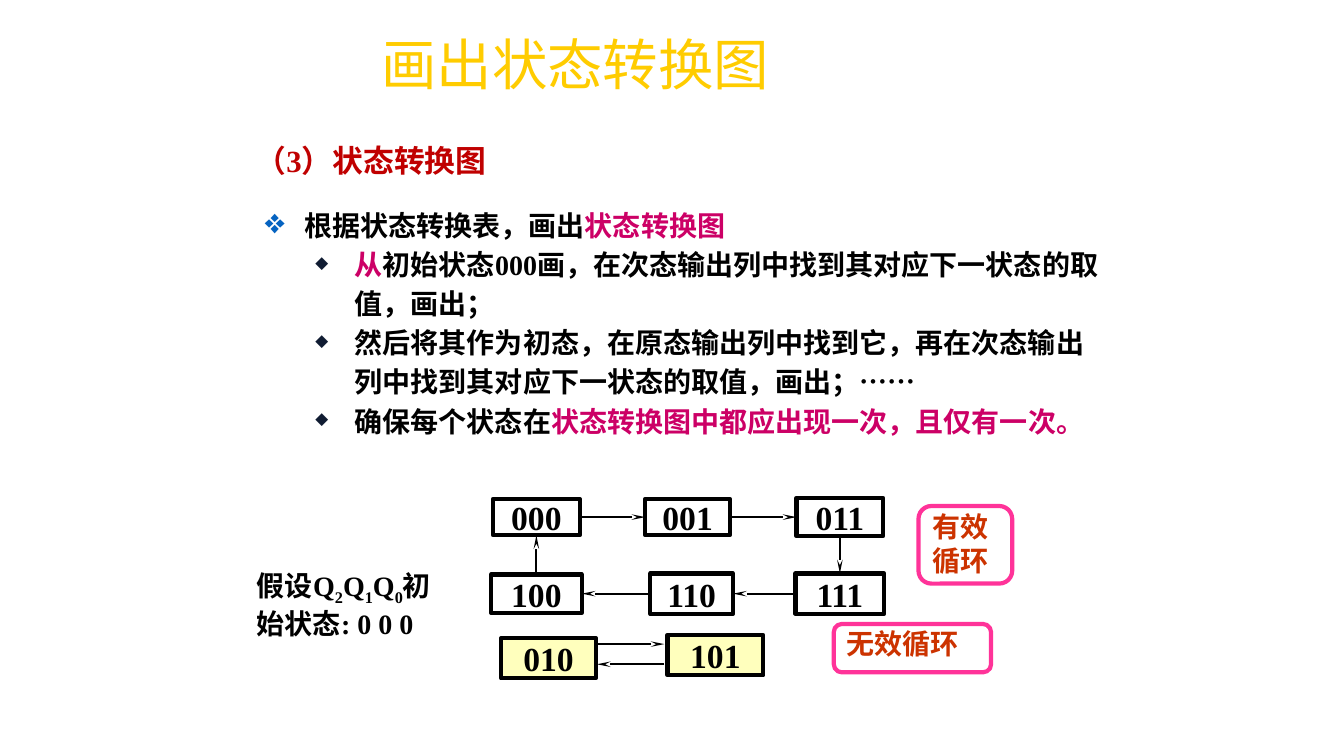
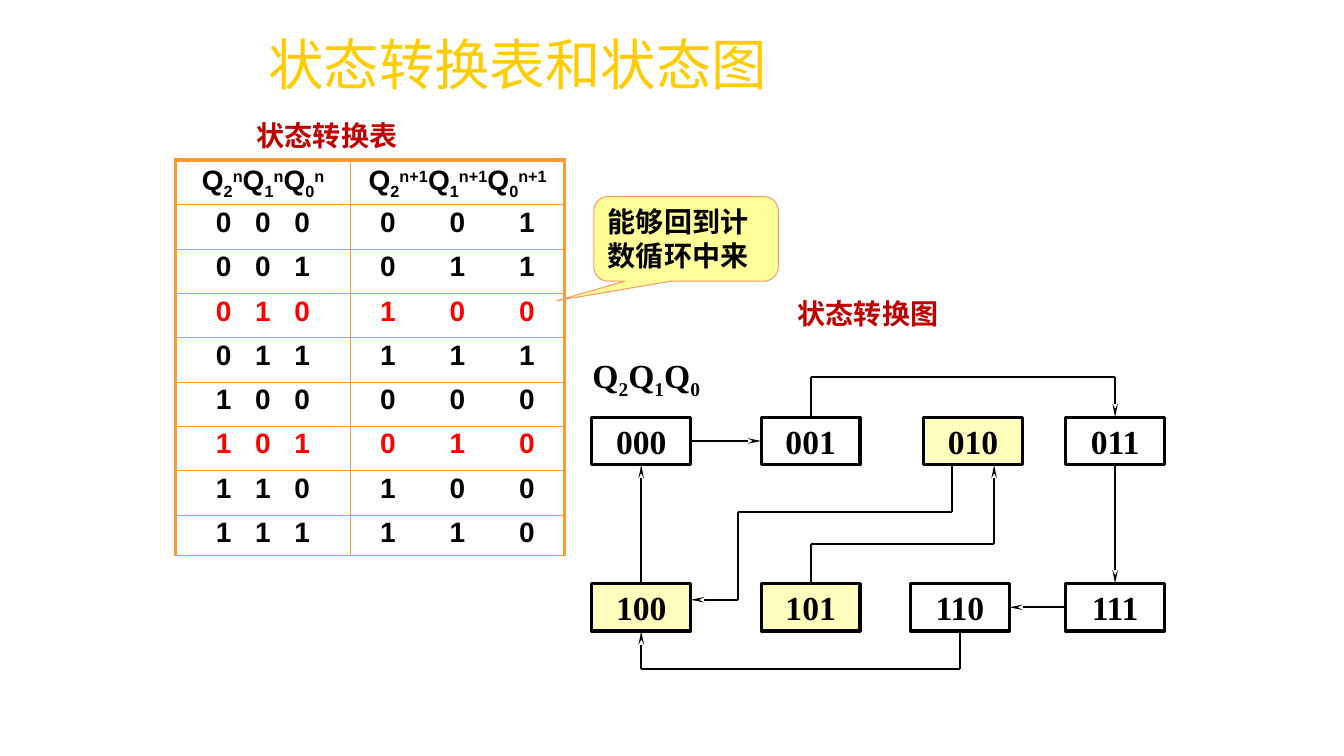
from itertools import pairwise

from lxml.etree import SubElement
from pptx import Presentation
from pptx.dml.color import RGBColor
from pptx.enum.shapes import MSO_CONNECTOR, MSO_SHAPE
from pptx.enum.text import MSO_ANCHOR, PP_ALIGN
from pptx.oxml.ns import qn
from pptx.util import Inches, Pt

HUES = {
    "gold": "FFCC00", "black": "000000", "wine": "C00000", "rose": "CC0066",
    "rust": "CC3300", "red": "FF0000", "pink": "FF3399", "white": "FFFFFF",
    "cream": "FFFFBD", "lemon": "FFFF99", "peach": "FF9966",
    "orange": "FF9933", "blue": "0563C1", "navy": "101C32",
}
SERIF, SANS, HAN = "Times New Roman", "Arial", "Noto Sans CJK SC"
BASE = {"name": SERIF, "size": Pt(20), "bold": True}
NODE = {"size": Pt(24)}
TITLE = {"name": SANS, "size": Pt(39.6), "bold": False}
SUB, SUP = -25000, 30000


def rgb(hue):
    return RGBColor.from_string(HUES[hue])


# Text
def write(para, text, hue="black", shift=0, **look):
    run = para.add_run()
    run.text = text
    for key, val in {**BASE, **look}.items():
        setattr(run.font, key, val)
    run.font.color.rgb = rgb(hue)
    props = run._r.get_or_add_rPr()
    SubElement(props, qn("a:ea"), typeface=HAN)
    if shift:
        props.set("baseline", str(shift))


def bits(para, power="", **look):
    """Write Q2 Q1 Q0 with an optional raised power on each."""
    for digit in "210":
        write(para, "Q", **look)
        write(para, digit, shift=SUB, **look)
        if power:
            write(para, power, shift=SUP, **look)


def setup(frame, **form):
    for key, val in {"word_wrap": True, **form}.items():
        setattr(frame, key, val)
    return frame.paragraphs[0]


def label(slide, box, text="", align=PP_ALIGN.LEFT, space=None, hue="wine",
          form=None, **look):
    shape = slide.shapes.add_textbox(*map(Inches, box))
    para = setup(shape.text_frame, **(form or {}))
    para.alignment, para.line_spacing = align, space
    if text:
        write(para, text, hue, **look)
    return para


def title(slide, box, text):
    shape = slide.shapes.title
    sides = zip(("left", "top", "width", "height"), box)
    for key, val in sides:
        setattr(shape, key, Inches(val))
    para = setup(shape.text_frame, vertical_anchor=MSO_ANCHOR.MIDDLE)
    para.alignment, para.line_spacing = PP_ALIGN.LEFT, 0.9
    write(para, text, "gold", **TITLE)


# Shapes and lines
def block(slide, kind, box, fill, line, width):
    shape = slide.shapes.add_shape(kind, *map(Inches, box))
    shape.shadow.inherit = False
    if fill:
        shape.fill.solid()
        shape.fill.fore_color.rgb = rgb(fill)
    else:
        shape.fill.background()
    shape.line.color.rgb = rgb(line)
    shape.line.width = Pt(width)
    return shape


def node(slide, box, text, fill, width):
    shape = block(slide, MSO_SHAPE.RECTANGLE, box, fill, "black", width)
    para = setup(shape.text_frame, word_wrap=False,
                 vertical_anchor=MSO_ANCHOR.MIDDLE)
    para.alignment = PP_ALIGN.CENTER
    write(para, text, **NODE)
    return shape


def nodes(slide, left, top, boxes, shaded, width):
    return {
        text: node(slide, (left + x, top + y, w, h), text,
                   "cream" if text in shaded else None, width)
        for text, (x, y, w, h) in boxes.items()
    }


def route(slide, left, top, made, *stops):
    """Draw an arrow through stops: (x, y), or (node text, side)."""
    def spot(stop):
        if not isinstance(stop[0], str):
            return Inches(left + stop[0]), Inches(top + stop[1])
        box, side = made[stop[0]], stop[1]
        across, down = ((1, 0), (0, 1), (1, 2), (2, 1))[side]
        return (box.left + box.width * across // 2,
                box.top + box.height * down // 2)

    for start, end in pairwise(stops):
        line = slide.shapes.add_connector(
            MSO_CONNECTOR.STRAIGHT, *spot(start), *spot(end))
        line.line.color.rgb = rgb("black")
        line.line.width = Pt(1.5)
        for stop, join in ((start, line.begin_connect),
                           (end, line.end_connect)):
            if isinstance(stop[0], str):
                join(made[stop[0]], stop[1])
        props = line._element.spPr
        if end is stops[-1]:
            SubElement(props.find(qn("a:ln")), qn("a:tailEnd"),
                       type="stealth", w="sm", len="lg")
        SubElement(props, qn("a:effectLst"))


# Bulleted steps
def bullet(para, level, mark, hue, size):
    para.level, para.line_spacing = level, Pt(28)
    props = para._p.get_or_add_pPr()
    props.set("marL", str(Inches(0.39 + 0.5 * level)))
    props.set("indent", str(Inches(-0.39)))
    tint = SubElement(props, qn("a:buClr"))
    SubElement(tint, qn("a:srgbClr"), val=HUES[hue])
    SubElement(props, qn("a:buSzPct"), val=str(size * 1000))
    SubElement(props, qn("a:buChar"), char=mark)


def steps(slide, box):
    rows = [
        [("根据状态转换表，画出", "black"), ("状态转换图", "rose")],
        [("从", "rose"),
         ("初始状态000画，在次态输出列中找到其对应下一状态的取值，画出；", "black")],
        [("然后将其作为初态，在原态输出列中找到它，再在次态输出列中找到其"
          "对应下一状态的取值，画出；……", "black")],
        [("确保每个状态在", "black"),
         ("状态转换图中都应出现一次，且仅有一次。", "rose")],
    ]
    frame = slide.shapes.add_textbox(*map(Inches, box)).text_frame
    para = setup(frame)
    for num, row in enumerate(rows):
        if num:
            para = frame.add_paragraph()
            bullet(para, 1, "◆", "navy", 60)
        else:
            bullet(para, 0, "❖", "blue", 125)
        for text, hue in row:
            write(para, text, hue)


# State diagrams
def cycles(slide, left, top):
    boxes = {
        "000": (0.02, 0.01, 0.86, 0.36), "001": (1.53, 0.01, 0.84, 0.36),
        "011": (3.03, 0, 0.86, 0.38), "111": (3.02, 0.75, 0.88, 0.4),
        "110": (1.58, 0.75, 0.82, 0.4), "100": (0, 0.76, 0.9, 0.38),
        "010": (0.1, 1.39, 0.94, 0.4), "101": (1.75, 1.36, 0.95, 0.4),
    }
    made = nodes(slide, left, top, boxes, ("010", "101"), 3)
    for stops in (
        (("000", 3), ("001", 1)), (("001", 3), ("011", 1)),
        (("011", 2), ("111", 0)), (("111", 1), ("110", 3)),
        (("110", 1), ("100", 3)), (("100", 0), ("000", 2)),
        ((1.05, 1.45), (1.72, 1.45)), ((1.72, 1.65), (1.05, 1.65)),
    ):
        route(slide, left, top, made, *stops)


def graph(slide, left, top):
    rows = (
        (0.4, {"000": 0, "001": 1.68, "010": 3.29, "011": 4.7}),
        (2.05, {"100": 0, "101": 1.68, "110": 3.16, "111": 4.7}),
    )
    boxes = {text: (x, y, 0.98, 0.47)
             for y, row in rows for text, x in row.items()}
    made = nodes(slide, left, top, boxes, ("010", "100", "101"), 2.25)
    for stops in (
        (("000", 3), ("001", 1)),
        (("001", 0), (2.17, 0), (5.19, 0), ("011", 0)),
        (("011", 2), ("111", 0)),
        (("111", 1), ("110", 3)),
        (("110", 2), (3.65, 2.9), (0.49, 2.9), ("100", 2)),
        (("100", 0), ("000", 2)),
        ((3.57, 0.87), (3.57, 1.34), (1.45, 1.34), (1.45, 2.21), (0.98, 2.21)),
        (("101", 0), (2.17, 1.66), (3.99, 1.66), (3.99, 0.87)),
    ):
        route(slide, left, top, made, *stops)
    para = label(slide, (left - 0.21, top - 0.23, 1.5, 0.47),
                 align=PP_ALIGN.CENTER,
                 form={"vertical_anchor": MSO_ANCHOR.MIDDLE})
    bits(para, **NODE)


def badge(slide, box, text):
    shape = block(slide, MSO_SHAPE.ROUNDED_RECTANGLE, box, "white", "pink", 3)
    para = setup(shape.text_frame, vertical_anchor=MSO_ANCHOR.TOP,
                 margin_left=Inches(0.1), margin_right=0,
                 margin_top=0, margin_bottom=0)
    para.alignment = PP_ALIGN.LEFT
    write(para, text, "rust")


# State table
def border(cell, **widths):
    props = cell._tc.get_or_add_tcPr()
    for side in "LRTB":
        line = SubElement(props, qn(f"a:ln{side}"),
                          w=str(Pt(widths.get(side, 1))))
        fill = SubElement(line, qn("a:solidFill"))
        SubElement(fill, qn("a:srgbClr"), val=HUES["orange"])
    cell.fill.background()


def digits(cell, text, hue, inset, gap):
    cell.margin_left = Inches(inset)
    para = cell.text_frame.paragraphs[0]
    para.line_spacing = 0.9
    tabs = SubElement(para._p.get_or_add_pPr(), qn("a:tabLst"))
    for num in (1, 2):
        SubElement(tabs, qn("a:tab"), pos=str(Inches(gap * num)), algn="l")
    write(para, "\t".join(text), hue, name=SANS)


def states(slide, box):
    rows = [("000", "001"), ("001", "011"), ("010", "100"), ("011", "111"),
            ("100", "000"), ("101", "010"), ("110", "100"), ("111", "110")]
    table = slide.shapes.add_table(
        len(rows) + 1, 2, *map(Inches, box)).table
    table.first_row = table.horz_banding = False
    for col, width in zip(table.columns, (1.74, 2.12)):
        col.width = Inches(width)
    for row in table.rows:
        row.height = Inches(0.44)
    table.rows[len(rows)].height = Inches(0.38)
    for y in range(len(rows) + 1):
        border(table.cell(y, 0), L=3, T=1 if y else 3)
        border(table.cell(y, 1), R=3, T=1 if y else 3)
    for x, power in enumerate(("n", "n+1")):
        para = table.cell(0, x).text_frame.paragraphs[0]
        para.alignment, para.line_spacing = PP_ALIGN.CENTER, 0.9
        bits(para, power, name=SANS)
    for y, (now, then) in enumerate(rows, 1):
        hue = "red" if now in ("010", "101") else "black"
        digits(table.cell(y, 0), now, hue, 0.4, 0.39)
        digits(table.cell(y, 1), then, hue, 0.29, 0.69)


def callout(slide, box, text):
    shape = block(slide, MSO_SHAPE.ROUNDED_RECTANGULAR_CALLOUT, box,
                  "lemon", "peach", 0.75)
    for num, val in enumerate((-0.7, 0.73, 0.17)):
        shape.adjustments[num] = val
    para = setup(shape.text_frame, vertical_anchor=MSO_ANCHOR.BOTTOM)
    para.alignment = PP_ALIGN.LEFT
    write(para, text, name=SANS)


# Slides
def draw_slide(slide):
    title(slide, (3.68, 0.33, 7.5, 0.67), "画出状态转换图")
    label(slide, (2.13, 1.4, 3.1, 0.43), "（3）状态转换图",
          PP_ALIGN.CENTER, 0.9, size=Pt(22))
    steps(slide, (2.53, 1.96, 8.5, 2.46))
    para = label(slide, (2.45, 5.59, 2.2, 0.77), "假设", hue="black")
    bits(para)
    write(para, "初始状态: 0 0 0")
    cycles(slide, 4.87, 4.94)
    badge(slide, (9.11, 5.02, 0.93, 0.77), "有效循环")
    badge(slide, (8.27, 6.19, 1.56, 0.48), "无效循环")


def table_slide(slide):
    title(slide, (2.56, 0.33, 10, 0.67), "状态转换表和状态图")
    label(slide, (2.45, 1.19, 2.03, 0.3), "状态转换表",
          form={"vertical_anchor": MSO_ANCHOR.MIDDLE})
    states(slide, (1.74, 1.59, 3.86, 3.9))
    graph(slide, 5.87, 3.74)
    label(slide, (7.81, 2.93, 1.6, 0.4), "状态转换图", PP_ALIGN.CENTER, 0.9,
          form={"word_wrap": False})
    callout(slide, (5.89, 1.95, 1.83, 0.84), "能够回到计数循环中来")


def main():
    deck = Presentation()
    deck.slide_width, deck.slide_height = Inches(13.33), Inches(7.5)
    for build in (draw_slide, table_slide):
        build(deck.slides.add_slide(deck.slide_layouts[5]))
    deck.save("out.pptx")


if __name__ == "__main__":
    main()
